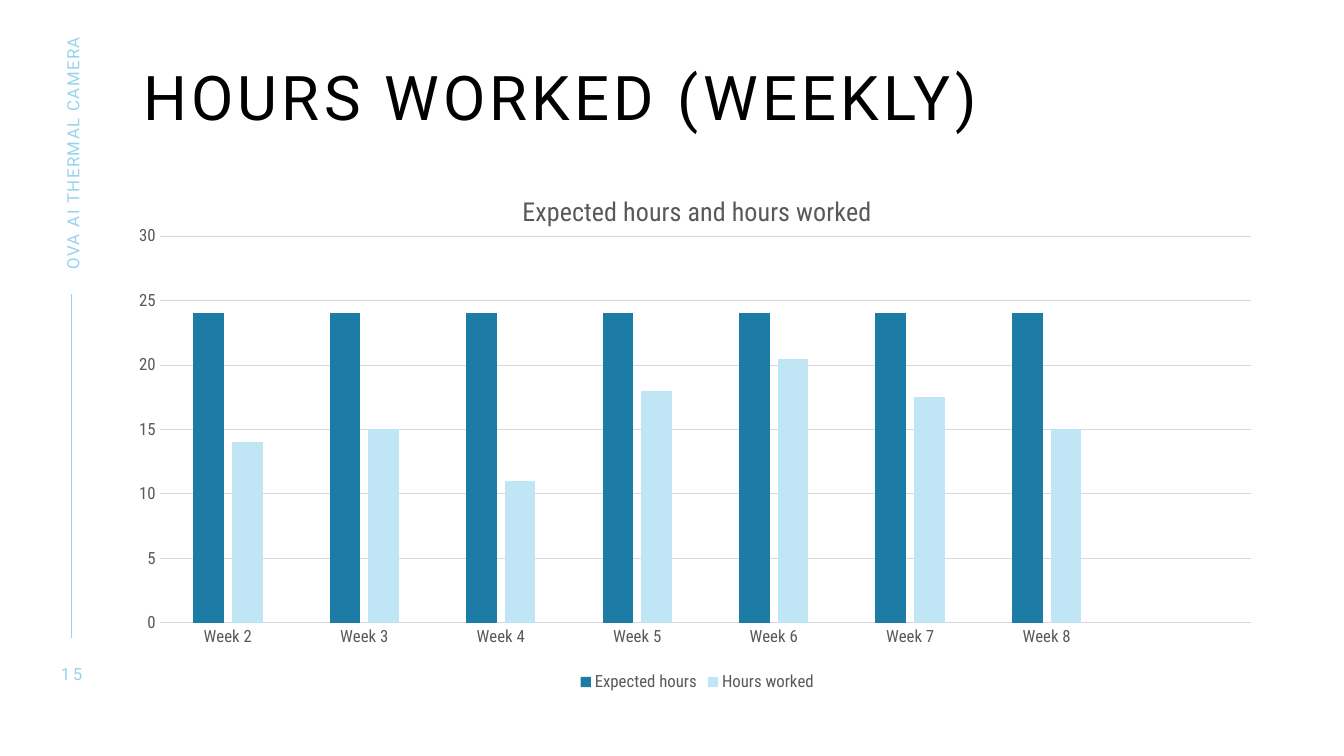
from lxml.etree import SubElement
from pptx import Presentation
from pptx.chart.data import CategoryChartData
from pptx.dml.color import RGBColor
from pptx.enum.chart import XL_CHART_TYPE, XL_LEGEND_POSITION, XL_TICK_MARK
from pptx.enum.shapes import MSO_CONNECTOR
from pptx.enum.text import MSO_ANCHOR, PP_ALIGN
from pptx.oxml import parse_xml
from pptx.oxml.ns import nsdecls, qn
from pptx.util import Cm, Pt

BLACK = RGBColor(0x00, 0x00, 0x00)
GREY = RGBColor(0x59, 0x59, 0x59)
GRID = RGBColor(0xD9, 0xD9, 0xD9)
SKY = RGBColor(0x96, 0xD3, 0xED)
BLUE = RGBColor(0x1C, 0x7C, 0xA5)
PALE = RGBColor(0xC0, 0xE5, 0xF4)

prs = Presentation()
prs.slide_width, prs.slide_height = Cm(33.87), Cm(19.05)
s = prs.slides.add_slide(prs.slide_layouts[6])


def add_text(text, box, size=12, color=SKY, spacing=1, align=PP_ALIGN.LEFT,
             anchor=MSO_ANCHOR.MIDDLE, rotation=0, line_spacing=1.0):
    sp = s.shapes.add_textbox(*[Cm(v) for v in box])
    sp.rotation = rotation
    tf = sp.text_frame
    tf.word_wrap = True
    tf.vertical_anchor = anchor
    tf.margin_left = tf.margin_right = tf.margin_top = tf.margin_bottom = 0
    p = tf.paragraphs[0]
    p.alignment, p.line_spacing = align, line_spacing
    r = p.add_run()
    r.text = text
    r.font.name, r.font.size, r.font.color.rgb = "Roboto", Pt(size), color
    r.font._element.set("spc", str(spacing * 100))


def set_layout(parent, index, **values):
    """Place a chart part by fractions of the chart area."""
    for old in parent.findall(qn("c:layout")):
        parent.remove(old)
    tags = "".join(f'<c:{tag} val="{val}"/>' for tag, val in values.items())
    parent.insert(index, parse_xml(
        f'<c:layout {nsdecls("c")}><c:manualLayout>{tags}</c:manualLayout></c:layout>'))


# Side rule, running title and page number
rule = s.shapes.add_connector(MSO_CONNECTOR.STRAIGHT, Cm(1.8), Cm(7.42), Cm(1.8), Cm(16.08))
rule.line.color.rgb, rule.line.width = SKY, Pt(1)
SubElement(rule._element.spPr, qn("a:effectLst"))
add_text("OVA AI THERMAL CAMERA", (-1.14, 3.51, 5.94, 0.61), rotation=270)
add_text("15", (1.17, 16.73, 1.27, 0.51), spacing=2, align=PP_ALIGN.CENTER)

# Heading
add_text("HOURS WORKED (WEEKLY)", (3.61, 1.7, 27.94, 2.54), size=44, color=BLACK,
         spacing=3, anchor=MSO_ANCHOR.TOP, line_spacing=0.9)

# Chart data, with an empty slot after the last week
data = CategoryChartData()
data.categories = [f"Week {week}" for week in range(2, 9)] + [""]
data.add_series("Expected hours", [24] * 7 + [None])
data.add_series("Hours worked", [14, 15, 11, 18, 20.5, 17.5, 15, None])
chart = s.shapes.add_chart(XL_CHART_TYPE.COLUMN_CLUSTERED, Cm(2.97), Cm(4.46),
                           Cm(29.21), Cm(13.08), data).chart
chart.font.name, chart.font.size = "Roboto Condensed", Pt(10)
chart.font.color.rgb = BLACK

# Columns
plot = chart.plots[0]
plot.gap_width, plot.overlap, plot.vary_by_categories = 219, -27, False
for series, color in zip(plot.series, (BLUE, PALE)):
    series.format.fill.solid()
    series.format.fill.fore_color.rgb = color

# Axes and grid
cat_axis, val_axis = chart.category_axis, chart.value_axis
val_axis.minimum_scale, val_axis.maximum_scale, val_axis.major_unit = 0, 30, 5
val_axis.has_major_gridlines = True
for axis in (cat_axis, val_axis):
    axis.major_tick_mark = axis.minor_tick_mark = XL_TICK_MARK.NONE
for line in (cat_axis.format.line, val_axis.major_gridlines.format.line):
    line.color.rgb, line.width = GRID, Pt(0.75)
val_axis.format.line.fill.background()

# Legend and chart title
chart.has_legend = True
chart.legend.position = XL_LEGEND_POSITION.BOTTOM
chart.legend.include_in_layout = False
chart.has_title = True
r = chart.chart_title.text_frame.paragraphs[0].add_run()
r.text = "Expected hours and hours worked"
for font, size in ((cat_axis.tick_labels.font, 12), (val_axis.tick_labels.font, 12),
                   (chart.legend.font, 12), (r.font, 18.6)):
    font.name, font.size, font.bold = "Roboto Condensed", Pt(size), False
    font.color.rgb = GREY

# Placement inside the chart
set_layout(chart.chart_title._element, 1, xMode="edge", yMode="edge", x=0.345, y=0.025)
set_layout(plot._element.getparent(), 0, layoutTarget="inner", xMode="edge", yMode="edge",
           x=0.036, y=0.114, w=0.942, h=0.745)

prs.save("out.pptx")
